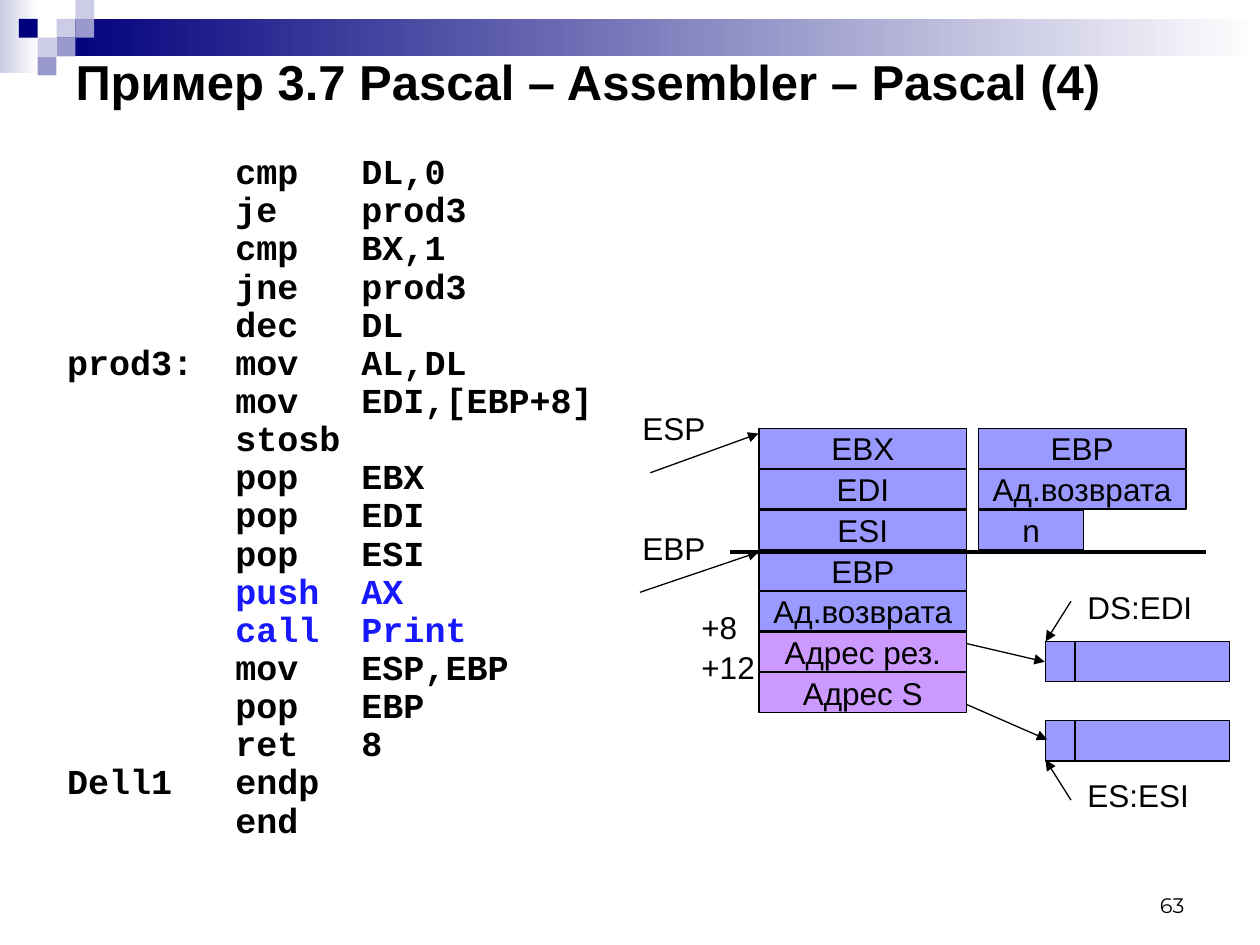
from typing import NamedTuple

from lxml.etree import SubElement
from pptx import Presentation
from pptx.dml.color import RGBColor
from pptx.enum.shapes import MSO_CONNECTOR as Conn, MSO_SHAPE as Shp
from pptx.enum.text import MSO_ANCHOR as Anchor, MSO_AUTO_SIZE as Auto, PP_ALIGN as Align
from pptx.oxml.ns import qn
from pptx.util import Cm, Pt

BLACK, BLUE = "000000", "1818FF"
NAVY, PALE, MID = "00007D", "CCCCE6", "9999CC"
CELL, PARAM = "9999FF", "CC99FF"


class Box(NamedTuple):
    x: float
    y: float
    w: float
    h: float
    fill: str
    text: str = ""


class Line(NamedTuple):
    x1: float
    y1: float
    x2: float
    y2: float
    arrow: bool = True
    width: float = 0.75


class Label(NamedTuple):
    x: float
    y: float
    text: str


class Code(NamedTuple):
    label: str
    op: str
    args: str = ""
    color: str = BLACK


def rgb(value: str) -> RGBColor:
    return RGBColor.from_string(value)


def add_run(p, text: str, size: float, font="Arial", color=BLACK, bold=False) -> None:
    r = p.add_run()
    r.text = text
    r.font.size, r.font.name, r.font.bold = Pt(size), font, bold
    r.font.color.rgb = rgb(color)


def add_box(slide, box: Box, outlined: bool = True):
    sp = slide.shapes.add_shape(Shp.RECTANGLE, Cm(box.x), Cm(box.y), Cm(box.w), Cm(box.h))
    sp.shadow.inherit = False
    sp.fill.solid()
    sp.fill.fore_color.rgb = rgb(box.fill)
    if outlined:
        sp.line.color.rgb, sp.line.width = rgb(BLACK), Pt(0.75)
    else:
        sp.line.fill.background()
    if box.text:
        tf = sp.text_frame
        tf.word_wrap, tf.vertical_anchor = False, Anchor.MIDDLE
        tf.paragraphs[0].alignment = Align.CENTER
        add_run(tf.paragraphs[0], box.text, 18)
    return sp


def add_fade(slide, box: Box) -> None:
    """Rectangle fading from its colour to white, left to right."""
    fill = add_box(slide, box, outlined=False).fill
    fill.gradient()
    fill.gradient_angle = 0
    for stop, color in zip(fill.gradient_stops, (box.fill, "FFFFFF")):
        stop.color.rgb = rgb(color)


def add_line(slide, line: Line) -> None:
    cx = slide.shapes.add_connector(
        Conn.STRAIGHT, Cm(line.x1), Cm(line.y1), Cm(line.x2), Cm(line.y2))
    cx.line.color.rgb, cx.line.width = rgb(BLACK), Pt(line.width)
    if line.arrow:
        SubElement(cx.line._get_or_add_ln(), qn("a:tailEnd"), type="triangle")
    SubElement(cx._element.spPr, qn("a:effectLst"))


def add_label(slide, label: Label) -> None:
    tf = slide.shapes.add_textbox(Cm(label.x), Cm(label.y), Cm(3.2), Cm(1.02)).text_frame
    tf.word_wrap = True
    add_run(tf.paragraphs[0], label.text, 18)


def add_code(p, code: Code) -> None:
    """One assembler line, laid out in the fixed columns of the source code."""
    p.line_spacing, p.space_before = 0.7, Pt(5)
    pPr = p._p.get_or_add_pPr()
    pPr.set("marL", "0")
    pPr.set("indent", "0")
    SubElement(pPr, qn("a:buNone"))
    text = f"{code.label:8}{code.op:6}{code.args}".rstrip()
    add_run(p, text, 20, "Courier New", code.color, True)


def place(sp, x: float, y: float, w: float, h: float):
    sp.left, sp.top, sp.width, sp.height = Cm(x), Cm(y), Cm(w), Cm(h)
    tf = sp.text_frame
    tf.auto_size, tf.word_wrap = Auto.NONE, True
    return tf


CODE = [
    Code("", "cmp", "DL,0"), Code("", "je", "prod3"),
    Code("", "cmp", "BX,1"), Code("", "jne", "prod3"),
    Code("", "dec", "DL"), Code("prod3:", "mov", "AL,DL"),
    Code("", "mov", "EDI,[EBP+8]"), Code("", "stosb"),
    Code("", "pop", "EBX"), Code("", "pop", "EDI"), Code("", "pop", "ESI"),
    Code("", "push", "AX", BLUE), Code("", "call", "Print", BLUE),
    Code("", "mov", "ESP,EBP"), Code("", "pop", "EBP"), Code("", "ret", "8"),
    Code("Dell1", "endp"), Code("", "end"),
]
STACK = [("EBX", CELL), ("EDI", CELL), ("ESI", CELL), ("EBP", CELL),
         ("Aд.возврата", CELL), ("Адрес рез.", PARAM), ("Адрес S", PARAM)]
CALL_FRAME = [("EBP", 4.19), ("Aд.возврата", 4.19), ("n", 2.13)]
STACK_TOP, STACK_STEP = 8.64, 0.82
ARROWS = [
    Line(19.3, 12.93, 21.06, 13.34), Line(19.3, 14.12, 21.11, 14.91),
    Line(21.59, 12.12, 21.08, 12.93), Line(21.59, 16.13, 21.08, 15.32),
    Line(12.9, 11.94, 15.29, 11.13), Line(13.11, 9.53, 15.29, 8.74),
]
LABELS = [
    Label(21.67, 11.73, "DS:EDI"), Label(21.67, 15.52, "ES:ESI"),
    Label(12.7, 8.13, "ESP"), Label(12.7, 10.54, "EBP"),
    Label(13.89, 12.14, "+8"), Label(13.89, 12.93, "+12"),
]
# Column, row and colour of the corner squares
SQUARES = [(3, 1, PALE), (4, 0, PALE), (4, 1, MID), (2, 2, PALE),
           (1, 1, NAVY), (3, 2, MID), (2, 3, MID)]


def main() -> None:
    prs = Presentation()
    prs.slide_width, prs.slide_height = Cm(25.4), Cm(19.05)
    slide = prs.slides.add_slide(prs.slide_layouts[1])

    # Header decoration
    add_fade(slide, Box(0, 0, 0.79, 1.47, PALE))
    add_fade(slide, Box(1.14, 0.38, 24.26, 0.76, NAVY))
    side = 0.38
    for col, row, color in SQUARES:
        add_box(slide, Box(col * side, row * side, side, side, color), outlined=False)

    # Title and program listing
    title, body = slide.placeholders
    tf = place(title, 1.27, 0.93, 22.86, 1.4)
    tf.vertical_anchor = Anchor.MIDDLE
    tf.paragraphs[0].alignment = Align.LEFT
    add_run(tf.paragraphs[0], "Пример 3.7 Pascal – Assembler – Pascal (4)", 28, bold=True)
    tf = place(body, 1.1, 3.12, 22.43, 14.88)
    for i, code in enumerate(CODE):
        add_code(tf.add_paragraph() if i else tf.paragraphs[0], code)

    # String buffers with their first byte marked off
    for y in (12.93, 14.53):
        add_box(slide, Box(21.08, y, 3.71, 0.81, CELL))
        add_line(slide, Line(21.67, y, 21.67, y + 0.81, arrow=False))

    # Pointers, then the stack over their starts
    for arrow in ARROWS:
        add_line(slide, arrow)
    for i, (text, color) in enumerate(STACK):
        add_box(slide, Box(15.3, STACK_TOP + i * STACK_STEP, 4.19, 0.8, color, text))
    add_line(slide, Line(14.71, 11.13, 24.31, 11.13, arrow=False, width=2.25))
    for i, (text, width) in enumerate(CALL_FRAME):
        add_box(slide, Box(19.72, STACK_TOP + i * STACK_STEP, width, 0.8, CELL, text))
    for label in LABELS:
        add_label(slide, label)

    # Page number
    tf = slide.shapes.add_textbox(Cm(18.21), Cm(17.35), Cm(5.92), Cm(1.27)).text_frame
    tf.word_wrap, tf.vertical_anchor = True, Anchor.BOTTOM
    tf.paragraphs[0].alignment = Align.RIGHT
    add_run(tf.paragraphs[0], "63", 12, "Montserrat")

    prs.save("out.pptx")


if __name__ == "__main__":
    main()
